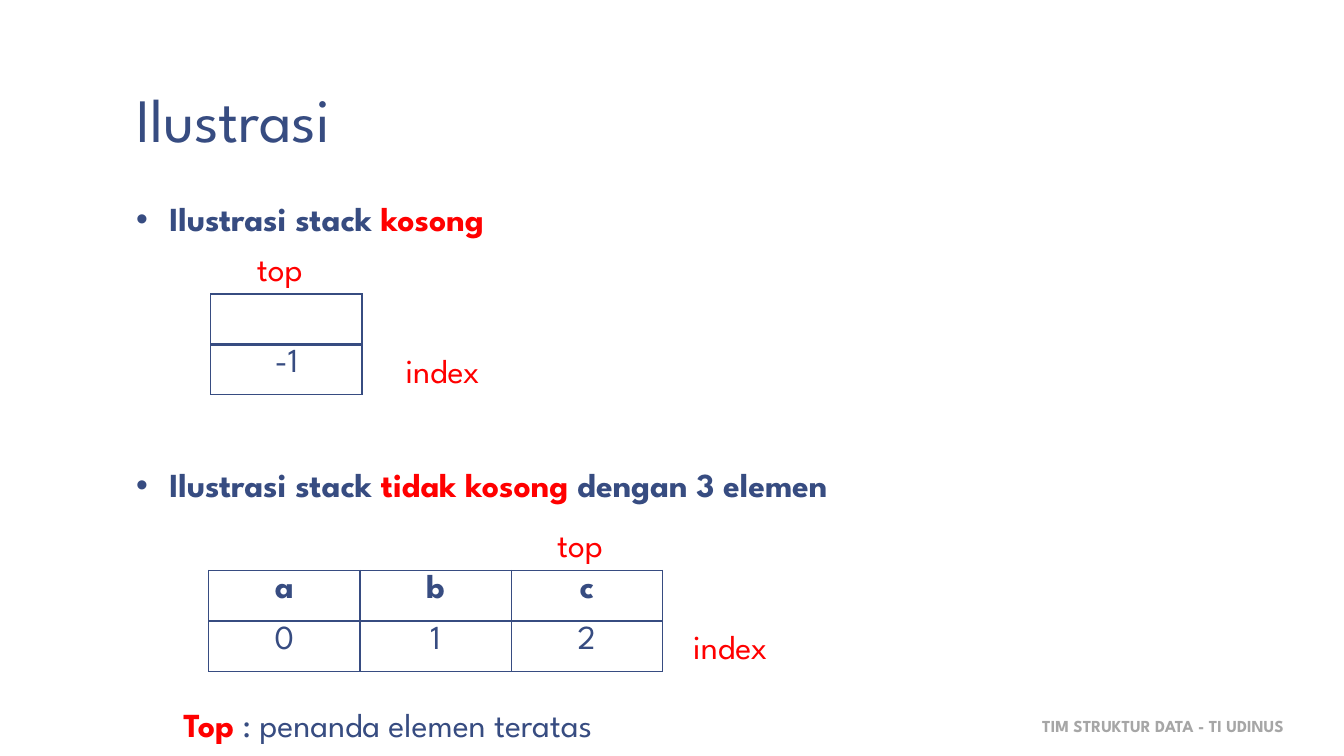
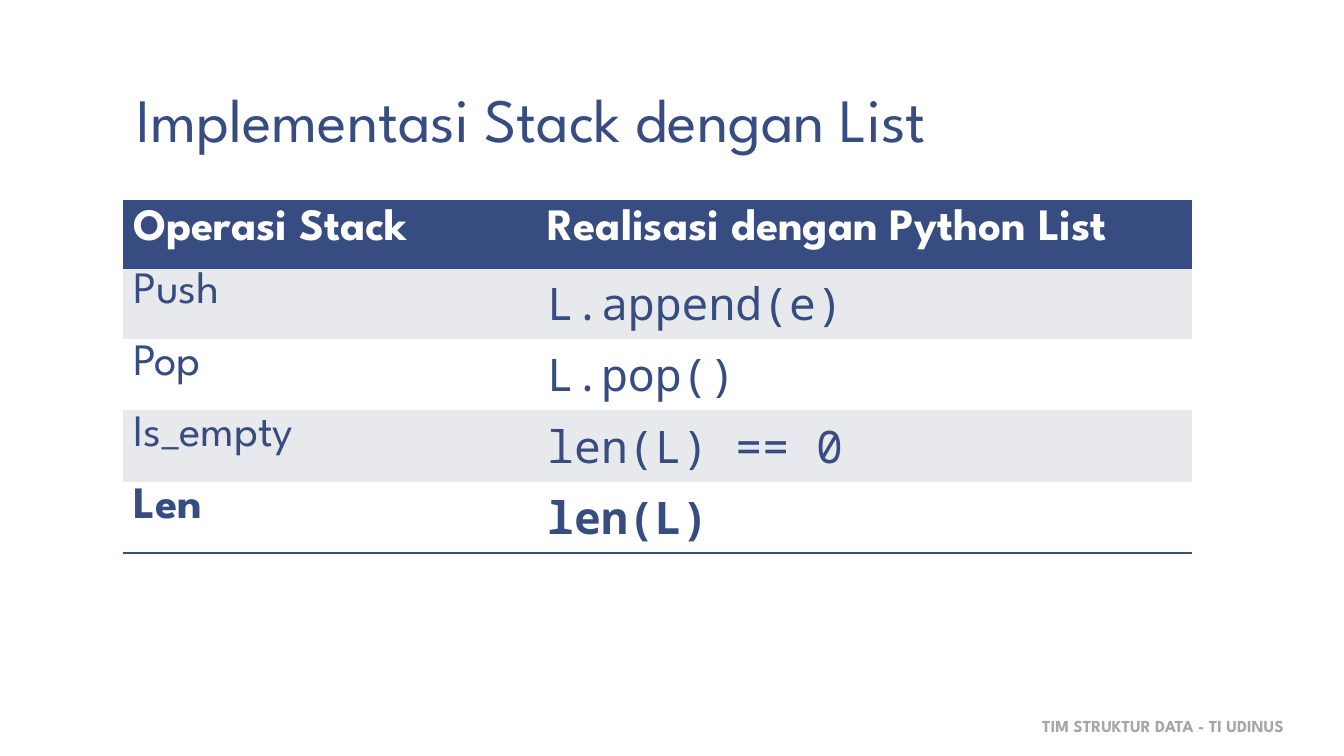
from dataclasses import dataclass
from lxml import etree
from pptx import Presentation
from pptx import util as u
from pptx.dml.color import RGBColor
from pptx.enum import text as t
from pptx.oxml import ns


@dataclass(frozen=True)
class Theme:
    navy: str = "374C81"
    red: str = "FF0000"
    gray: str = "A6A6A6"
    band: str = "E8E9ED"
    white: str = "FFFFFF"
    sans: str = "League Spartan"
    mono: str = "Noto Sans Mono"
    head: int = 44
    grid: int = 32
    body: int = 24
    foot: int = 12


T = Theme()
COLS, ROWS = 32, 18
WIDE, HIGH = u.Inches(13.33), u.Inches(7.5)


def across(n):
    return u.Emu(int(WIDE * n / COLS))


def down(n):
    return u.Emu(int(HIGH * n / ROWS))


def place(box):
    x, y, w, h = box
    return across(x), down(y), across(w), down(h)


def apply(item, vals):
    for key, val in vals.items():
        setattr(item, key, val)


def write(para, runs, **form):
    apply(para, form)
    for words, style in runs:
        run = para.add_run()
        run.text = words
        look = {"size": T.body, "name": T.sans, "bold": False, "color": T.navy, **style}
        run.font.color.rgb = RGBColor.from_string(look.pop("color"))
        look["size"] = u.Pt(look["size"])
        apply(run.font, look)


def frame(slide, box, pad=(0.1, 0.05), anchor=t.MSO_ANCHOR.BOTTOM):
    tf = slide.shapes.add_textbox(*place(box)).text_frame
    side, edge = map(u.Inches, pad)
    apply(tf, {"word_wrap": True, "vertical_anchor": anchor,
               "margin_left": side, "margin_right": side,
               "margin_top": edge, "margin_bottom": edge})
    return tf


def label(slide, box, *runs):
    write(frame(slide, box).paragraphs[0], runs)


def base(deck, title):
    slide = deck.slides.add_slide(deck.slide_layouts[6])
    label(slide, (24.58, 16.92, 6.41, 0.72),
          ("TIM STRUKTUR DATA - TI UDINUS",
           {"size": T.foot, "color": T.gray, "bold": True}))
    tf = frame(slide, (2.93, 0.19, 26.66, 3.67), (0.13, 0.07))
    write(tf.paragraphs[0], [(title, {"size": T.head})], line_spacing=0.85)
    return slide


def bullets(slide, box, items, gap):
    tf = frame(slide, box, (0.13, 0.07), t.MSO_ANCHOR.TOP)
    for i, runs in enumerate(items):
        para = tf.add_paragraph() if i else tf.paragraphs[0]
        props = para._p.get_or_add_pPr()
        props.set("marL", str(u.Inches(0.33)))
        props.set("indent", str(-u.Inches(0.33)))
        etree.SubElement(props, ns.qn("a:buFont"), typeface="Arial")
        etree.SubElement(props, ns.qn("a:buChar"), char="•")
        write(para, runs, line_spacing=0.95, space_before=u.Pt(gap if i else 0))


def border(cell, **widths):
    props = cell._tc.get_or_add_tcPr()
    for i, side in enumerate("LRTB"):
        wide = widths.get(side, 0)
        line = etree.Element(ns.qn("a:ln" + side), w=str(u.Pt(wide)))
        if wide:
            fill = etree.SubElement(line, ns.qn("a:solidFill"))
            etree.SubElement(fill, ns.qn("a:srgbClr"), val=T.navy)
        else:
            etree.SubElement(line, ns.qn("a:noFill"))
        props.insert(i, line)


def table(slide, x, y, wides, highs):
    box = place((x, y, sum(wides), sum(highs)))
    tab = slide.shapes.add_table(len(highs), len(wides), *box).table
    apply(tab, {"first_row": False, "horz_banding": False})
    for col, wide in zip(tab.columns, wides):
        col.width = across(wide)
    for row, high in zip(tab.rows, highs):
        row.height = down(high)
    return tab


def stack(slide, x, y, names, marks, high, gap):
    wide = 3.6
    count = len(marks)
    tab = table(slide, x, y, [wide] * count, [high] * 2)
    for r, words in enumerate((names, marks)):
        for c, word in enumerate(words):
            cell = tab.cell(r, c)
            cell.fill.background()
            border(cell, L=1, R=1, T=1 + r, B=2 - r)
            para = cell.text_frame.paragraphs[0]
            para.font.size = u.Pt(T.body)
            para.font.name = T.sans
            write(para, [(word, {"bold": r == 0})] if word else [],
                  alignment=t.PP_ALIGN.CENTER)
    red = {"color": T.red}
    label(slide, (x + wide * (count - 1) + 0.86, y - 1.22, 1.85, 1.2), ("top", red))
    label(slide, (x + wide * count + gap, y + 1.2, 2.62, 1.2), ("index", red))


def methods(slide, x, y, rows):
    last = len(rows) - 1
    tab = table(slide, x, y, (9.86, 15.6), [1.28] + [1.7] * last)
    for r, words in enumerate(rows):
        top = r == 0
        back = T.navy if top else T.band if r % 2 else T.white
        for c, word in enumerate(words):
            cell = tab.cell(r, c)
            cell.fill.solid()
            cell.fill.fore_color.rgb = RGBColor.from_string(back)
            border(cell, T=2 if r < 2 else 0, B=2 if r in (0, last) else 0)
            cell.margin_top = u.Inches(0.07 if top else 0.05)
            code = c == 1 and not top
            style = {"size": T.grid, "bold": r in (0, last),
                     "color": T.white if top else T.navy,
                     "name": T.mono if code else T.sans}
            side = t.PP_ALIGN.LEFT if code else t.PP_ALIGN.JUSTIFY
            write(cell.text_frame.paragraphs[0], [(word, style)], alignment=side)


def sketch(deck):
    slide = base(deck, "Ilustrasi")
    bold = {"bold": True}
    warn = {"bold": True, "color": T.red}
    bullets(slide, (2.93, 4.61, 26.66, 11.6), [
        [("Ilustrasi stack ", bold), ("kosong", warn)],
        [("Ilustrasi stack ", bold), ("tidak kosong ", warn),
         ("dengan 3 elemen", bold)],
    ], 162.5)
    stack(slide, 5.02, 7, [""], ["-1"], 0.98, 0.8)
    stack(slide, 4.97, 13.58, "abc", "012", 1.2, 0.5)
    label(slide, (4.13, 16.63, 12.72, 1.2),
          ("Top", warn), (" : penanda elemen teratas", {}))


def listing(deck):
    slide = base(deck, "Implementasi Stack dengan List")
    methods(slide, 2.93, 4.8, [
        ("Operasi Stack", "Realisasi dengan Python List"),
        ("Push", "L.append(e)"),
        ("Pop", "L.pop()"),
        ("Is_empty", "len(L) == 0"),
        ("Len", "len(L)"),
    ])


def main():
    deck = Presentation()
    apply(deck, {"slide_width": WIDE, "slide_height": HIGH})
    sketch(deck)
    listing(deck)
    deck.save("out.pptx")


if __name__ == "__main__":
    main()
